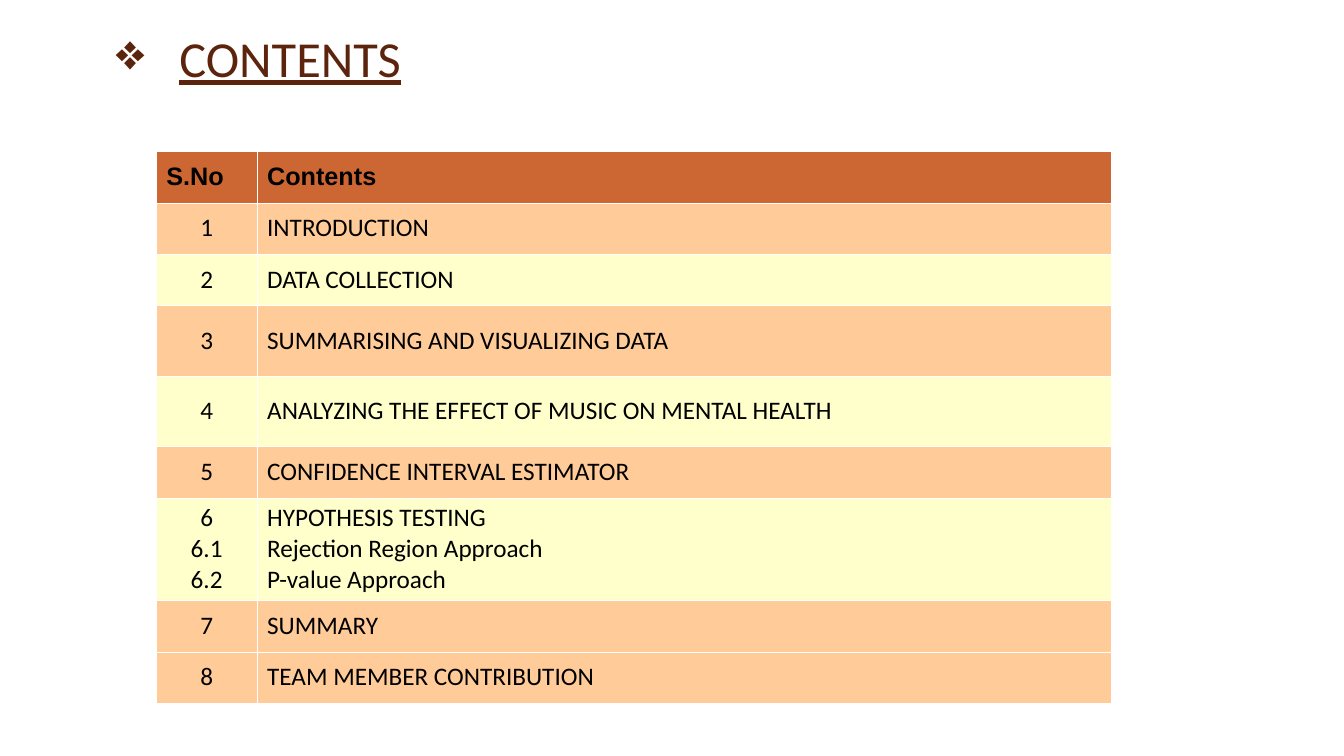
import pptx
import pptx.util
import pptx.dml.color
import pptx.enum.text
import pptx.oxml.ns
from lxml import etree

Inches = pptx.util.Inches
Pt = pptx.util.Pt
Align = pptx.enum.text.PP_ALIGN
Anchor = pptx.enum.text.MSO_ANCHOR
qn = pptx.oxml.ns.qn

COLORS = {
    "title": "5C240C",
    "bullet": "5B240C",
    "text": "000000",
    "border": "FFFFFF",
    "header": "CC6633",
    "orange": "FFCC99",
    "yellow": "FFFFCC",
}
MARGINS = {
    "margin_left": Inches(0.1),
    "margin_right": Inches(0.1),
    "margin_top": Inches(0.05),
    "margin_bottom": Inches(0.05),
}
TITLE_FONT = {"name": "Calibri", "size": Pt(36), "underline": True}
HEADER_FONT = {"name": "Arial", "size": Pt(18), "bold": True}
BODY_FONT = {"name": "Calibri", "size": Pt(18), "bold": False}

COLUMN_WIDTHS = [1, 8.47]
# Row height, fill, numbers, entries
ROWS = [
    (0.51, "header", ["S.No"], ["Contents"]),
    (0.51, "orange", ["1"], ["INTRODUCTION"]),
    (0.51, "yellow", ["2"], ["DATA COLLECTION"]),
    (0.7, "orange", ["3"], ["SUMMARISING AND VISUALIZING DATA"]),
    (0.7, "yellow", ["4"], ["ANALYZING THE EFFECT OF MUSIC ON MENTAL HEALTH"]),
    (0.51, "orange", ["5"], ["CONFIDENCE INTERVAL ESTIMATOR"]),
    (1, "yellow", ["6", "6.1", "6.2"],
     ["HYPOTHESIS TESTING", "Rejection Region Approach", "P-value Approach"]),
    (0.51, "orange", ["7"], ["SUMMARY"]),
    (0.51, "orange", ["8"], ["TEAM MEMBER CONTRIBUTION"]),
]


def color(name):
    return pptx.dml.color.RGBColor.from_string(COLORS[name])


def apply(target, values):
    for name, value in values.items():
        setattr(target, name, value)


def add_text(para, text, font, color_name):
    span = para.add_run()
    span.text = text
    apply(span.font, font)
    span.font.color.rgb = color(color_name)


def add_bullet(para, symbol, indent):
    properties = para._p.get_or_add_pPr()
    properties.set("marL", str(indent))
    properties.set("indent", str(-indent))
    bullet_color = etree.SubElement(properties, qn("a:buClr"))
    etree.SubElement(bullet_color, qn("a:srgbClr"), val=COLORS["bullet"])
    etree.SubElement(properties, qn("a:buChar"), char=symbol)


def add_borders(cell):
    properties = cell._tc.get_or_add_tcPr()
    for side in ("lnL", "lnR", "lnT", "lnB"):
        line = etree.SubElement(properties, qn("a:" + side), w=str(Pt(0.06)))
        fill = etree.SubElement(line, qn("a:solidFill"))
        etree.SubElement(fill, qn("a:srgbClr"), val=COLORS["border"])


def place_title(page, left, top, width, height):
    title = page.shapes.title
    apply(title, {"left": Inches(left), "top": Inches(top),
                  "width": Inches(width), "height": Inches(height)})
    frame = title.text_frame
    apply(frame, {**MARGINS, "word_wrap": True, "vertical_anchor": Anchor.TOP,
                  "auto_size": pptx.enum.text.MSO_AUTO_SIZE.NONE})
    para = frame.paragraphs[0]
    para.alignment = Align.LEFT
    add_bullet(para, "❖", Inches(0.63))
    add_text(para, "CONTENTS", TITLE_FONT, "title")


def fill_cell(cell, lines, fill, font, alignment):
    apply(cell, {**MARGINS, "vertical_anchor": Anchor.MIDDLE})
    add_borders(cell)
    cell.fill.solid()
    cell.fill.fore_color.rgb = color(fill)
    frame = cell.text_frame
    for index, line in enumerate(lines):
        para = frame.add_paragraph() if index else frame.paragraphs[0]
        para.alignment = alignment
        add_text(para, line, font, "text")


def place_contents(page, left, top, width, height):
    table = page.shapes.add_table(
        len(ROWS), len(COLUMN_WIDTHS),
        Inches(left), Inches(top), Inches(width), Inches(height)).table
    for column, column_width in zip(table.columns, COLUMN_WIDTHS):
        column.width = Inches(column_width)
    for index, (row_height, fill, numbers, entries) in enumerate(ROWS):
        table.rows[index].height = Inches(row_height)
        is_header = fill == "header"
        font = HEADER_FONT if is_header else BODY_FONT
        number_alignment = Align.LEFT if is_header else Align.CENTER
        fill_cell(table.cell(index, 0), numbers, fill, font, number_alignment)
        fill_cell(table.cell(index, 1), entries, fill, font, Align.LEFT)


def main():
    deck = pptx.Presentation()
    deck.slide_width = Inches(13.33)
    deck.slide_height = Inches(7.5)
    page = deck.slides.add_slide(deck.slide_layouts.get_by_name("Title Only"))
    place_title(page, 1.05, 0.22, 5.03, 0.7)
    place_contents(page, 1.55, 1.5, 9.47, 5.47)
    deck.save("out.pptx")


if __name__ == "__main__":
    main()
